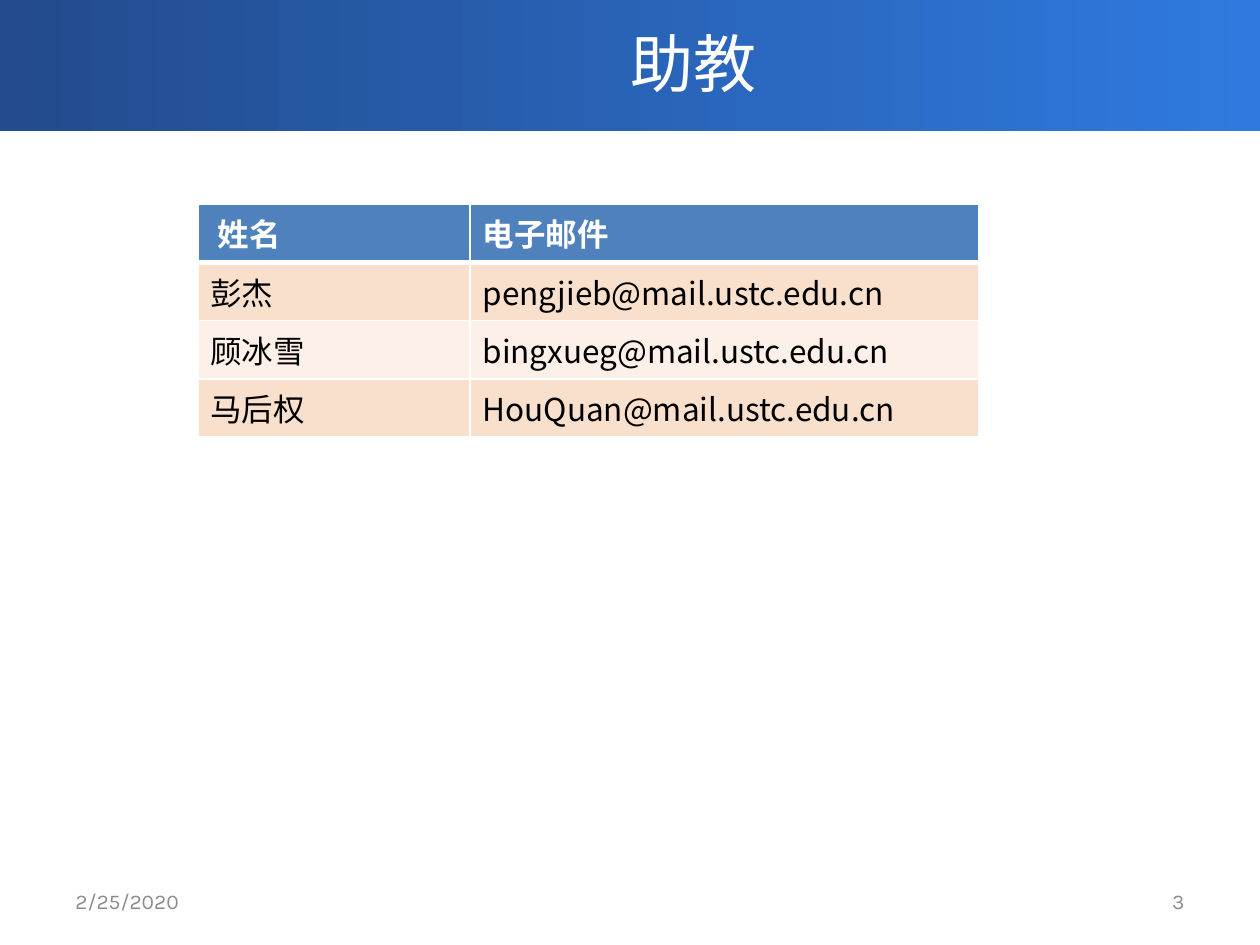
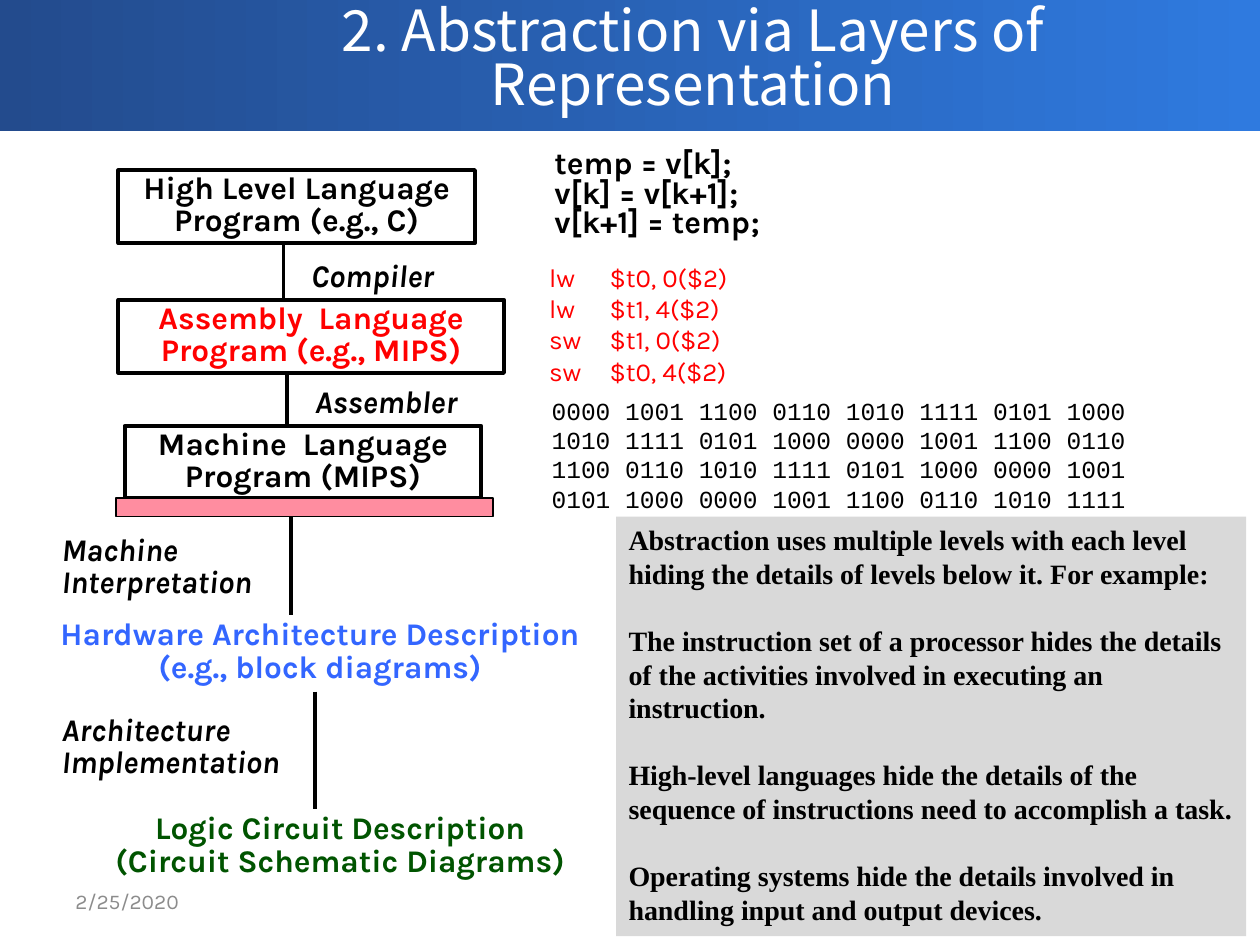
"""Build two lecture slides: the teaching assistants and the layers of abstraction."""
from dataclasses import dataclass

import lxml.etree
import pptx
import pptx.dml.color
import pptx.enum.shapes
import pptx.enum.text
import pptx.oxml.ns
import pptx.util

ALIGN = pptx.enum.text.PP_ALIGN
ANCHOR = pptx.enum.text.MSO_ANCHOR
RECTANGLE = pptx.enum.shapes.MSO_SHAPE.RECTANGLE
COLUMNS, ROWS = 100, 75


@dataclass(frozen=True)
class Theme:
    band_start: str = "234B8D"
    band_end: str = "2F7ADF"
    white: str = "FFFFFF"
    black: str = "000000"
    muted: str = "8C8C8C"
    table_header: str = "4F81BD"
    table_bands: tuple = ("F9E0CD", "FCF0E8")
    assembly: str = "FF0000"
    hardware: str = "3366FF"
    circuit: str = "005400"
    interface: str = "FF8DA0"
    panel: str = "D9D9D9"
    title_font: str = "Noto Sans CJK SC"
    body_font: str = "Karla"
    code_font: str = "Courier New"
    panel_font: str = "Times New Roman"
    title_size: float = 36
    long_title_size: float = 32.4
    label_size: float = 18
    panel_size: float = 16
    assembly_size: float = 14.8
    code_size: float = 14
    footer_size: float = 12
    outline: float = 2.25
    label_insets: tuple = (0.07, 0.03)
    normal_insets: tuple = (0.1, 0.05)


class Deck:
    def __init__(self, theme):
        self.theme = theme
        self.presentation = pptx.Presentation()
        self.presentation.slide_width = pptx.util.Inches(10)
        self.presentation.slide_height = pptx.util.Inches(7.5)
        self.slide = None

    def x(self, columns):
        return round(self.presentation.slide_width * columns / COLUMNS)

    def y(self, rows):
        return round(self.presentation.slide_height * rows / ROWS)

    def place(self, left, top, width, height):
        return self.x(left), self.y(top), self.x(width), self.y(height)

    def color(self, value):
        return pptx.dml.color.RGBColor.from_string(value)

    def child(self, parent, tag, **attributes):
        return lxml.etree.SubElement(parent, pptx.oxml.ns.qn(tag), attributes)

    def run(self, paragraph, text, size, font, color, bold=False, italic=False):
        run = paragraph.add_run()
        run.text = text
        run.font.size = pptx.util.Pt(size)
        run.font.bold, run.font.italic = bold, italic
        run.font.color.rgb = self.color(color)
        run.font.name = font
        self.child(run.font._element, "a:ea", typeface=font)

    def paragraphs(self, frame, texts, align=ALIGN.LEFT, spacing=None, gap=0,
                   hanging=0, **style):
        for index, lines in enumerate(texts):
            paragraph = frame.paragraphs[0] if index == 0 else frame.add_paragraph()
            paragraph.alignment = align
            if spacing:
                paragraph.line_spacing = spacing
            if gap and index:
                paragraph.space_before = pptx.util.Pt(gap)
            if hanging:
                properties = paragraph._p.get_or_add_pPr()
                properties.set("marL", str(self.x(hanging)))
                properties.set("indent", str(-self.x(hanging)))
            for number, line in enumerate(lines.split("\n")):
                if number:
                    paragraph.add_line_break()
                self.run(paragraph, line, **style)

    def frame(self, shape, insets, anchor=ANCHOR.TOP, wrap=True):
        frame = shape.text_frame
        frame.word_wrap = wrap
        frame.auto_size = pptx.enum.text.MSO_AUTO_SIZE.NONE
        frame.vertical_anchor = anchor
        frame.margin_left = frame.margin_right = pptx.util.Inches(insets[0])
        frame.margin_top = frame.margin_bottom = pptx.util.Inches(insets[1])
        return frame

    def text(self, box, texts, insets=None, anchor=ANCHOR.TOP, wrap=True, **style):
        shape = self.slide.shapes.add_textbox(*self.place(*box))
        frame = self.frame(shape, insets or self.theme.normal_insets, anchor, wrap)
        self.paragraphs(frame, texts, **style)

    def rectangle(self, box, fill=None, line=None, weight=1):
        shape = self.slide.shapes.add_shape(RECTANGLE, *self.place(*box))
        shape.shadow.inherit = False
        if fill:
            shape.fill.solid()
            shape.fill.fore_color.rgb = self.color(fill)
        else:
            shape.fill.background()
        if line:
            shape.line.color.rgb = self.color(line)
            shape.line.width = pptx.util.Pt(weight)
        else:
            shape.line.fill.background()
        return shape

    def band(self):
        band = self.rectangle((0, 0, COLUMNS, 10.4))
        band.fill.gradient()
        band.fill.gradient_angle = 0
        colors = (self.theme.band_start, self.theme.band_end)
        for position, (stop, color) in enumerate(zip(band.fill.gradient_stops, colors)):
            stop.position = position
            stop.color.rgb = self.color(color)
        self.slide.shapes._spTree.insert(2, band._element)

    def footer(self, text, left, align):
        theme = self.theme
        self.text((left, 69.5, 23.3, 4), [text], anchor=ANCHOR.MIDDLE, align=align,
                  size=theme.footer_size, font=theme.body_font, color=theme.muted)

    def start_slide(self, title, size, spacing=None, number=None):
        theme = self.theme
        self.slide = self.presentation.slides.add_slide(self.presentation.slide_layouts[5])
        self.band()
        shape = self.slide.shapes.title
        shape.left, shape.top, shape.width, shape.height = self.place(10, 0, 90, 9.9)
        self.paragraphs(self.frame(shape, theme.normal_insets, ANCHOR.MIDDLE), [title],
                        align=ALIGN.CENTER, spacing=spacing, size=size,
                        font=theme.title_font, color=theme.white)
        self.footer("2/25/2020", 5, ALIGN.LEFT)
        if number:
            self.footer(number, 71.7, ALIGN.RIGHT)

    def layer(self, box, text, color, outlined=True, spacing=0.85):
        theme = self.theme
        shape = self.rectangle(box, line=theme.black if outlined else None,
                               weight=theme.outline)
        self.paragraphs(self.frame(shape, theme.label_insets), [text], align=ALIGN.CENTER,
                        spacing=spacing, size=theme.label_size, font=theme.body_font,
                        color=color, bold=True)

    def step(self, box, text):
        theme = self.theme
        self.text(box, [text], insets=theme.label_insets, spacing=0.85,
                  size=theme.label_size, font=theme.body_font, color=theme.black,
                  bold=True, italic=True)

    def link(self, column, top, bottom):
        connector = self.slide.shapes.add_connector(
            pptx.enum.shapes.MSO_CONNECTOR.STRAIGHT,
            self.x(column), self.y(top), self.x(column), self.y(bottom))
        connector.line.color.rgb = self.color(self.theme.black)
        connector.line.width = pptx.util.Pt(self.theme.outline)
        self.child(connector._element.spPr, "a:effectLst")

    def panel(self, box, texts):
        theme = self.theme
        frame = self.frame(self.rectangle(box, fill=theme.panel), theme.normal_insets)
        self.paragraphs(frame, texts, gap=1.2 * theme.panel_size, size=theme.panel_size,
                        font=theme.panel_font, color=theme.black, bold=True)

    def border(self, cell, side, points):
        line = self.child(cell._tc.get_or_add_tcPr(), f"a:ln{side}",
                          w=str(pptx.util.Pt(points)))
        fill = self.child(line, "a:solidFill")
        self.child(fill, "a:srgbClr", val=self.theme.white)

    def table(self, box, widths, rows):
        theme = self.theme
        table = self.slide.shapes.add_table(len(rows), len(widths), *self.place(*box)).table
        table.horz_banding = False
        for column, width in zip(table.columns, widths):
            column.width = self.x(width)
        for row, values in enumerate(rows):
            header = row == 0
            for column, value in enumerate(values):
                cell = table.cell(row, column)
                borders = {"L": 1, "R": 1, "T": 3 if row == 1 else 1, "B": 3 if header else 1}
                for side, points in borders.items():
                    self.border(cell, side, points)
                cell.fill.solid()
                fill = theme.table_header if header else theme.table_bands[(row - 1) % 2]
                cell.fill.fore_color.rgb = self.color(fill)
                if header and column == 0:
                    cell.margin_left = self.x(1.6)
                self.paragraphs(cell.text_frame, [value], size=theme.label_size,
                                font=theme.title_font, bold=header,
                                color=theme.white if header else theme.black)


def assistants_slide(deck):
    deck.start_slide("助教", deck.theme.title_size, number="3")
    deck.table((15.7, 16.2, 62, 18.1), (21.6, 40.4), [
        ("姓名", "电子邮件"),
        ("彭杰", "pengjieb@mail.ustc.edu.cn"),
        ("顾冰雪", "bingxueg@mail.ustc.edu.cn"),
        ("马后权", "HouQuan@mail.ustc.edu.cn"),
    ])


def abstraction_slide(deck):
    theme = deck.theme
    deck.start_slide("2. Abstraction via Layers of Representation",
                     theme.long_title_size, spacing=0.8)

    deck.layer((9.4, 13.5, 28.3, 5.8), "High Level Language\nProgram (e.g., C)", theme.black)
    deck.layer((9.4, 23.8, 30.6, 5.8), "Assembly  Language Program (e.g., MIPS)",
               theme.assembly)
    deck.layer((9.9, 33.8, 28.3, 5.7), "Machine  Language Program (MIPS)", theme.black)
    deck.layer((3.3, 48.8, 44.2, 5.9),
               "Hardware Architecture Description\n(e.g., block diagrams)",
               theme.hardware, outlined=False, spacing=0.88)
    deck.layer((6.7, 64.2, 40.6, 5.9),
               "Logic Circuit Description\n(Circuit Schematic Diagrams)",
               theme.circuit, outlined=False, spacing=0.88)
    deck.rectangle((9.2, 39.5, 29.9, 1.5), fill=theme.interface, line=theme.black)

    for link in ((22.5, 19.4, 23.8), (22.8, 29.7, 33.8), (23.1, 41, 48.8), (25, 54.9, 64.2)):
        deck.link(*link)

    deck.step((24, 20.5, 14.3, 3.2), "Compiler")
    deck.step((24.3, 30.5, 15.7, 3.2), "Assembler")
    deck.step((4.2, 42.2, 18.3, 5.8), "Machine Interpretation")
    deck.step((4.2, 56.5, 21.7, 5.8), "Architecture Implementation")

    deck.text((43.3, 11.7, 33.8, 7.8),
              ["temp = v[k];", "v[k] = v[k+1];", "v[k+1] = temp;"],
              insets=theme.label_insets, spacing=0.78, size=theme.label_size,
              font=theme.body_font, color=theme.black, bold=True)
    deck.text((42.6, 20.3, 42.1, 9.8),
              ["lw\t$t0, 0($2)", "lw\t$t1, 4($2)", "sw\t$t1, 0($2)", "sw\t$t0, 4($2)"],
              hanging=4.8, size=theme.assembly_size, font=theme.body_font,
              color=theme.assembly)
    deck.text((42.8, 30.9, 49, 10.4), [
        "0000 1001 1100 0110 1010 1111 0101 1000",
        "1010 1111 0101 1000 0000 1001 1100 0110",
        "1100 0110 1010 1111 0101 1000 0000 1001",
        "0101 1000 0000 1001 1100 0110 1010 1111",
    ], wrap=False, size=theme.code_size, font=theme.code_font, color=theme.black)
    deck.panel((48.9, 41, 50, 33.3), [
        "Abstraction uses multiple levels with each level hiding the details of levels "
        "below it. For example:",
        "The instruction set of a processor hides the details of the activities involved "
        "in executing an instruction.",
        "High-level languages hide the details of the sequence of instructions need to "
        "accomplish a task.",
        "Operating systems hide the details involved in handling input and output devices.",
    ])


def main():
    deck = Deck(Theme())
    assistants_slide(deck)
    abstraction_slide(deck)
    deck.presentation.save("out.pptx")


if __name__ == "__main__":
    main()
